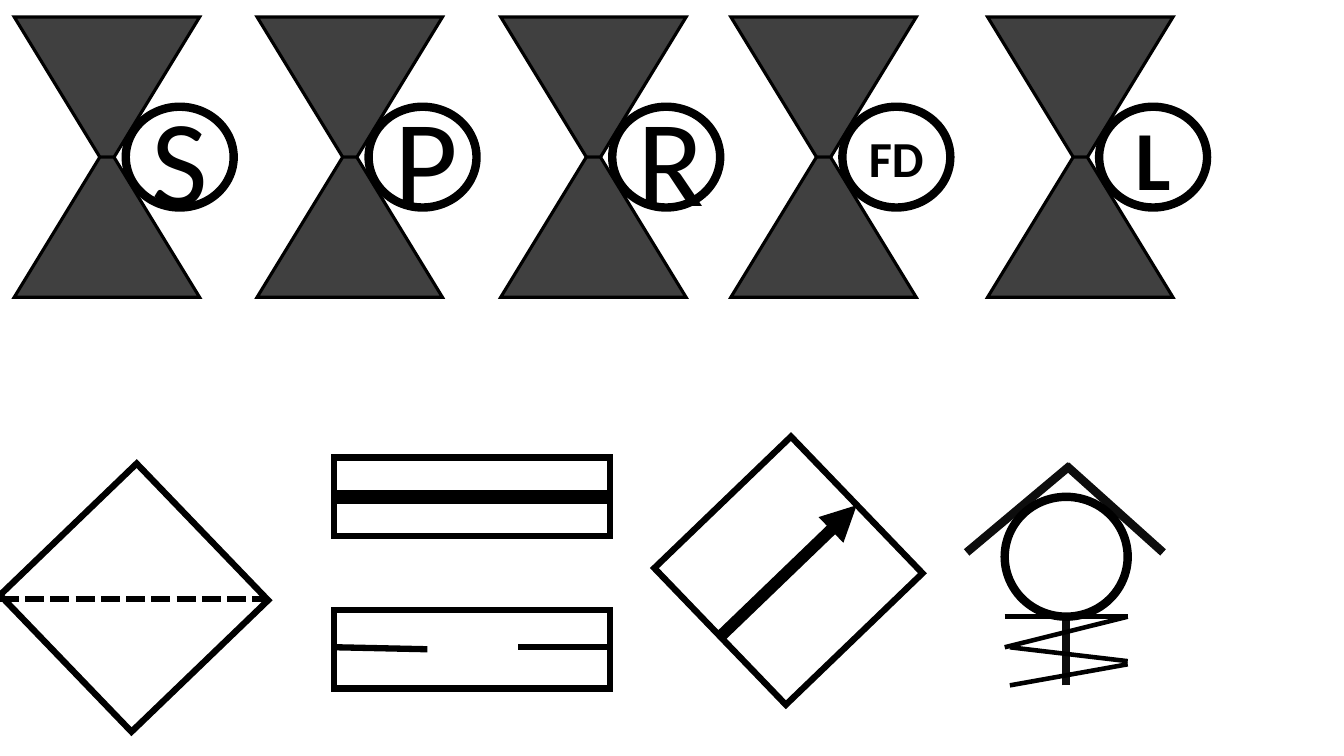
from dataclasses import dataclass

from lxml import etree
from pptx import Presentation
from pptx.dml.color import RGBColor
from pptx.enum.dml import MSO_LINE
from pptx.enum.shapes import MSO_CONNECTOR, MSO_SHAPE
from pptx.enum.text import MSO_ANCHOR, PP_ALIGN
from pptx.oxml.ns import qn
from pptx.shapes.autoshape import Shape
from pptx.shapes.connector import Connector
from pptx.shapes.group import GroupShape
from pptx.util import Cm, Pt

BOX, OVAL, TRAP = MSO_SHAPE.RECTANGLE, MSO_SHAPE.OVAL, MSO_SHAPE.TRAPEZOID
STRAIGHT = MSO_CONNECTOR.STRAIGHT
DASH = MSO_LINE.SQUARE_DOT
CENTER, MIDDLE = PP_ALIGN.CENTER, MSO_ANCHOR.MIDDLE

COLORS = {"ink": "000000", "soft": "0D0D0D", "body": "404040", "paper": "FFFFFF"}
FONT = "Calibri"
TOP, WIDE, HIGH = 0.43, 4.67, 3.53  # half of a valve body
TILT = 316.1
SIDE = 4.78


@dataclass
class Valve:
    """A valve with a lettered badge."""
    left: float
    text: str
    size: float
    bold: bool


@dataclass
class Stroke:
    """A straight line between two points."""
    x1: float
    y1: float
    x2: float
    y2: float
    width: float = 4.5
    color: str = "ink"


VALVES = [
    Valve(0.36, "S", 88, False),
    Valve(6.48, "P", 88, False),
    Valve(12.62, "R", 88, False),
    Valve(18.42, "FD", 36, True),
    Valve(24.89, "L", 60, True),
]
BREAKS = [
    Stroke(8.46, 16.31, 10.77, 16.36),
    Stroke(13.06, 16.31, 15.37, 16.31),
]
SEAT = [
    Stroke(26.87, 17.27, 26.87, 14.58, 6, "soft"),
    Stroke(24.36, 13.92, 26.97, 11.73, 6, "soft"),
    Stroke(29.31, 13.92, 26.87, 11.73, 6, "soft"),
]
SPRING = [
    Stroke(25.32, 15.54, 28.42, 15.54, 3.25),
    Stroke(25.32, 16.31, 28.42, 15.54, 3.25),
    Stroke(25.45, 16.31, 28.42, 16.66, 3.25),
    Stroke(25.45, 17.27, 28.42, 16.74, 3.25),
]


def color(name: str) -> RGBColor:
    """Look up a named colour."""
    return RGBColor.from_string(COLORS[name])


def add_form(group: GroupShape, kind: MSO_SHAPE, left: float, top: float,
             width: float, height: float, line: float = 4.5,
             fill: str = "paper", turn: float = 0) -> Shape:
    """Add a filled shape with a sharp-cornered outline."""
    form = group.shapes.add_shape(kind, Cm(left), Cm(top), Cm(width), Cm(height))
    form.shadow.inherit = False
    form.rotation = turn
    form.fill.solid()
    form.fill.fore_color.rgb = color(fill)
    form.line.color.rgb = color("ink")
    form.line.width = Pt(line)
    edge = form.line._get_or_add_ln()
    etree.SubElement(edge, qn("a:miter"), lim="800000")
    return form


def add_line(group: GroupShape, mark: Stroke) -> Connector:
    """Add a straight line without shadow."""
    line = group.shapes.add_connector(
        STRAIGHT, Cm(mark.x1), Cm(mark.y1), Cm(mark.x2), Cm(mark.y2))
    line.line.color.rgb = color(mark.color)
    line.line.width = Pt(mark.width)
    etree.SubElement(line._element.spPr, qn("a:effectLst"))
    return line


def add_valve(group: GroupShape, valve: Valve) -> None:
    """Add two facing trapezoids and the lettered badge."""
    for row, turn in enumerate((180, 0)):
        half = add_form(group, TRAP, valve.left, TOP + row * HIGH,
                        WIDE, HIGH, 2.25, "body", turn)
        half.adjustments[0] = 0.611
    badge = add_form(group, OVAL, valve.left + 2.81, 2.69, 2.72, 2.54, 6)
    frame = badge.text_frame
    frame.text = valve.text
    frame.vertical_anchor = MIDDLE
    para = frame.paragraphs[0]
    para.alignment = CENTER
    font = para.runs[0].font
    font.name, font.size, font.bold = FONT, Pt(valve.size), valve.bold
    font.color.rgb = color("ink")


deck = Presentation()
deck.slide_width, deck.slide_height = Cm(33.87), Cm(19.05)
shapes = deck.slides.add_slide(deck.slide_layouts[6]).shapes

for valve in VALVES:
    add_valve(shapes.add_group_shape(), valve)

filter_group = shapes.add_group_shape()
add_form(filter_group, BOX, 0.99, 12.67, SIDE, SIDE, turn=TILT)
add_line(filter_group, Stroke(0, 15.09, 6.76, 15.09)).line.dash_style = DASH

for top, marks in ((11.53, [Stroke(8.41, 12.52, 15.37, 12.52, 10.25)]),
                   (15.37, BREAKS)):
    plate = shapes.add_group_shape()
    add_form(plate, BOX, 8.41, top, 6.96, 1.98)
    for mark in marks:
        add_line(plate, mark)

flow = shapes.add_group_shape()
add_form(flow, BOX, 17.48, 11.99, SIDE, SIDE, turn=TILT)
arrow = add_line(flow, Stroke(18.14, 16.05, 21.59, 12.73, 8.5))
etree.SubElement(arrow.line._get_or_add_ln(), qn("a:tailEnd"), type="triangle")

check = shapes.add_group_shape()
for mark in SEAT:
    add_line(check, mark)
add_form(check, OVAL, 25.32, 12.52, 3.1, 3.02, 6)
for mark in SPRING:
    add_line(check, mark)

deck.save("out.pptx")
